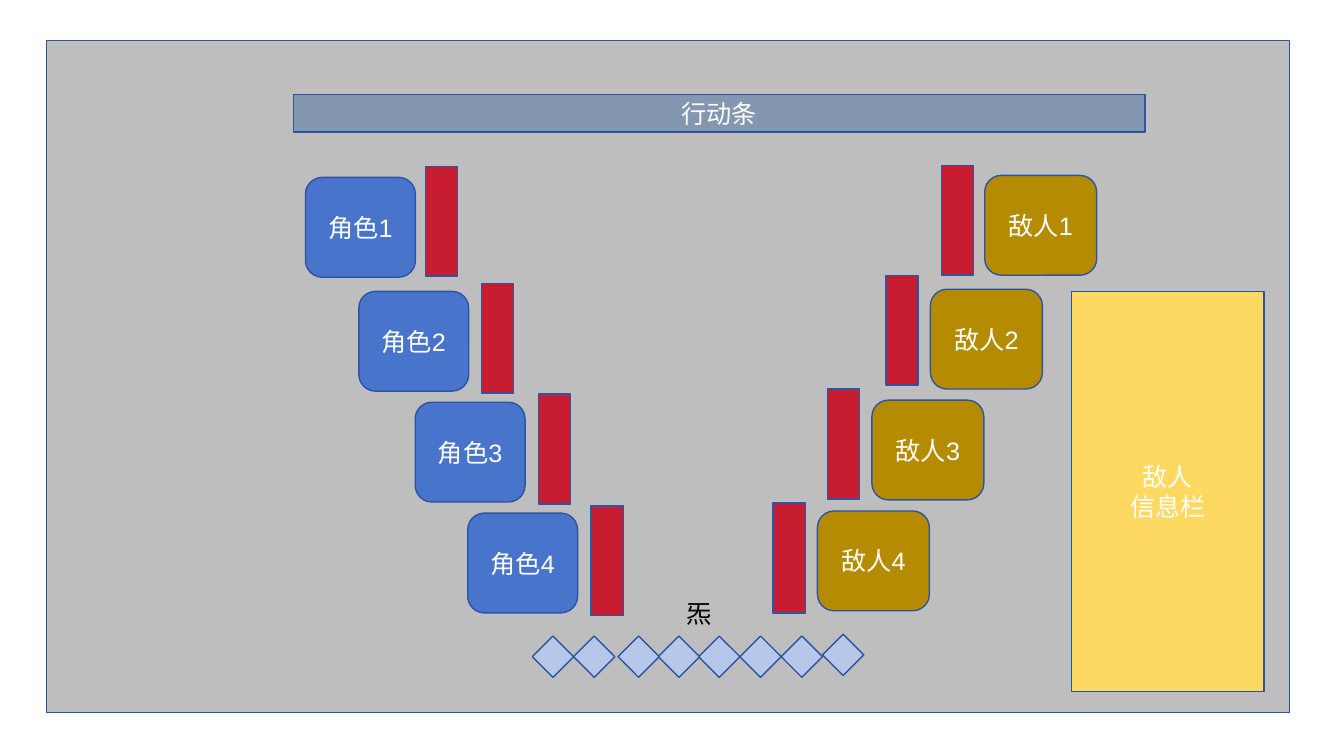
from pptx import Presentation
from pptx.dml.color import RGBColor
from pptx.enum import shapes, text
from pptx.util import Pt

HUES = {
    "stage": "BEBEBE", "edge": "2E54A1", "info": "FED961", "gem": "B6C7EA",
    "bar": "8497B0", "hero": "4874CB", "foe": "B58B01", "health": "C81D31",
    "white": "FFFFFF", "black": "000000",
}
KIND = shapes.MSO_SHAPE

deck = Presentation()
deck.slide_width, deck.slide_height = Pt(960), Pt(540)
slide = deck.slides.add_slide(deck.slide_layouts[6])


def write(shape, words, hue="white", align=text.PP_ALIGN.CENTER,
          anchor=text.MSO_ANCHOR.MIDDLE):
    frame = shape.text_frame
    frame.word_wrap = True
    frame.vertical_anchor = anchor
    frame.text = words
    for para in frame.paragraphs:
        para.alignment = align
        para.font.name = "Arial"
        para.font.size = Pt(18)
        para.font.color.rgb = RGBColor.from_string(HUES[hue])


def draw(kind, hue, *box):
    """Add an outlined shape; box is left, top, width, height in points."""
    shape = slide.shapes.add_shape(kind, *map(Pt, box))
    shape.shadow.inherit = False
    shape.fill.solid()
    shape.fill.fore_color.rgb = RGBColor.from_string(HUES[hue])
    shape.line.color.rgb = RGBColor.from_string(HUES["edge"])
    shape.line.width = Pt(1)
    return shape


draw(KIND.RECTANGLE, "stage", 33.1, 28.8, 887.8, 480.2)
info = draw(KIND.RECTANGLE, "info", 765.4, 208.1, 137.5, 285.8)
write(info, "敌人\n信息栏")

# Energy gems, right to left
gems = [(587.5, 453), (558, 454.3), (528.5, 454.3), (499, 454.3),
        (470.2, 454.3), (441.4, 454.3), (409.7, 454.3), (380.2, 454.3)]
for left, top in gems:
    draw(KIND.DIAMOND, "gem", left, top, 29.5, 29.5)

label = slide.shapes.add_textbox(Pt(483.1), Pt(424.1), Pt(34.6), Pt(31.7))
write(label, "炁", hue="black", align=text.PP_ALIGN.LEFT,
      anchor=text.MSO_ANCHOR.TOP)

bar = draw(KIND.RECTANGLE, "bar", 209.5, 67.7, 608.4, 26.6)
write(bar, "行动条")

# Each side: name, hue, card width, card corners, health bar corners
sides = [
    ("角色", "hero", 78.5,
     [(218.2, 126.7), (256.3, 208.1), (296.6, 287.3), (334.1, 366.5)],
     [(303.8, 118.8), (343.8, 202.3), (384.5, 281.5), (422.2, 361.4)]),
    ("敌人", "foe", 80,
     [(703.4, 125.3), (664.6, 206.6), (622.8, 285.8), (583.9, 365)],
     [(672.5, 118.1), (632.9, 196.6), (591.1, 277.9), (552.2, 359.3)]),
]
for name, hue, width, cards, bars in sides:
    for rank, (card, health) in enumerate(zip(cards, bars), 1):
        draw(KIND.RECTANGLE, "health", *health, 23, 78.5)
        unit = draw(KIND.ROUNDED_RECTANGLE, hue, *card, width, 71.3)
        write(unit, f"{name}{rank}")

deck.save("out.pptx")
